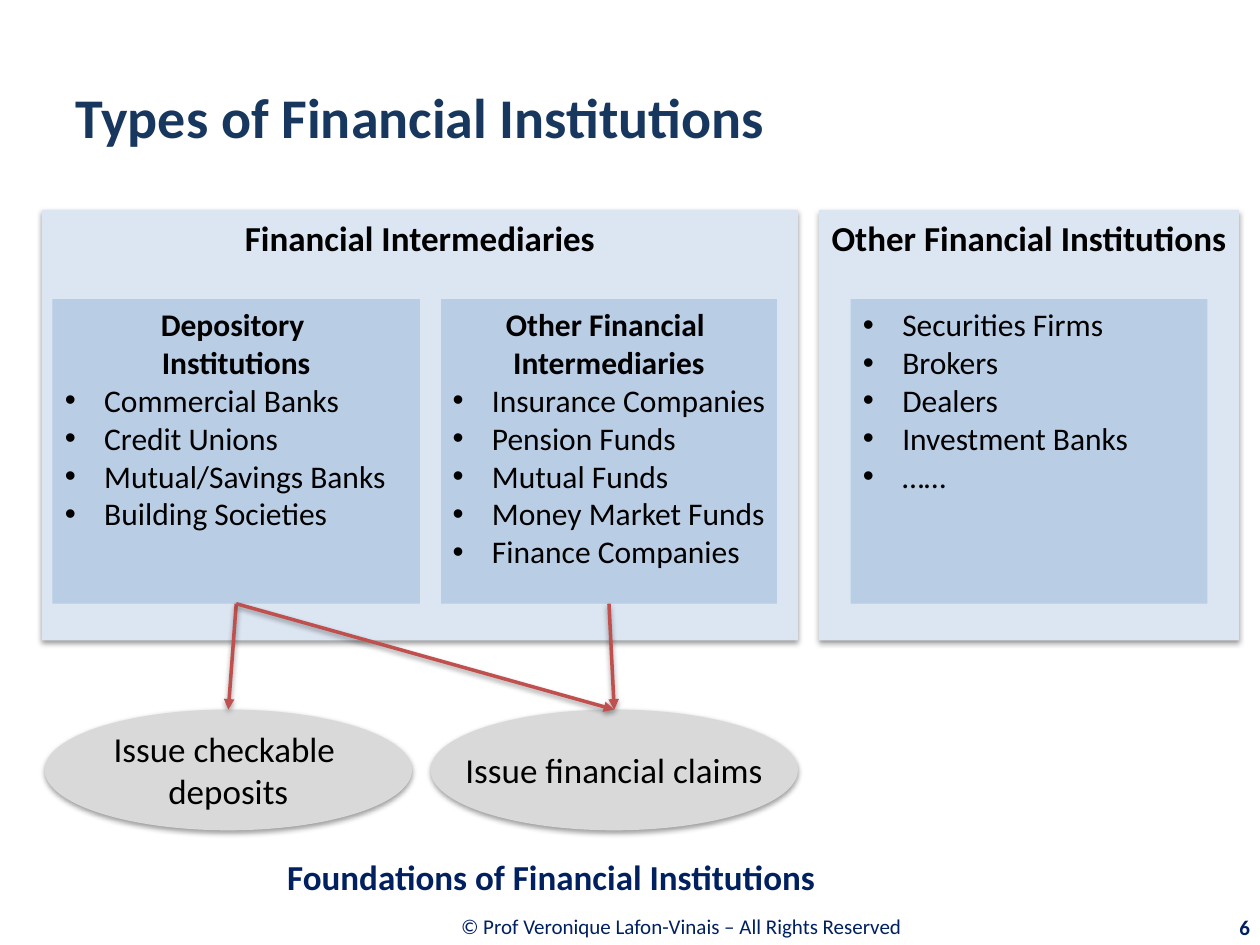
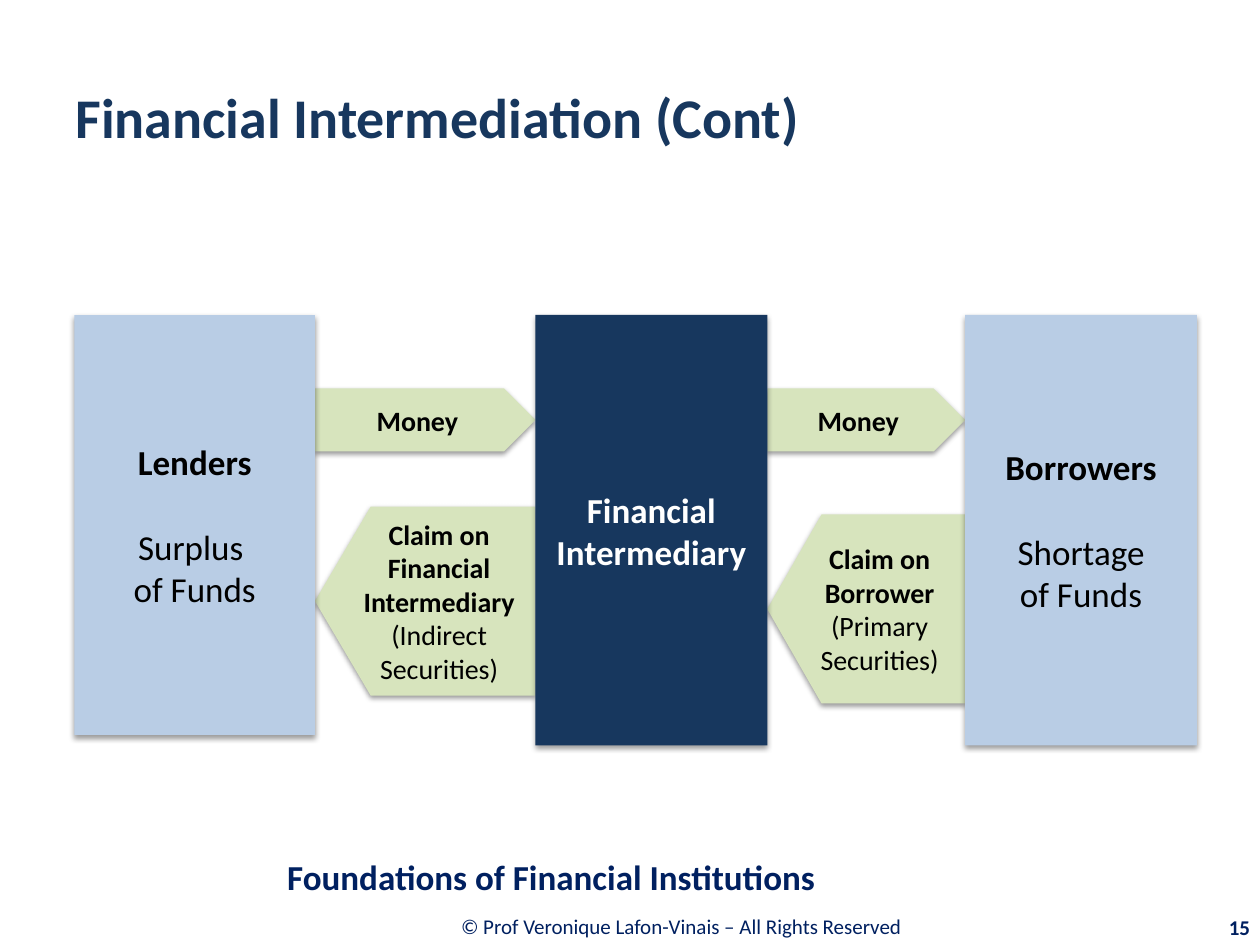
from dataclasses import dataclass

from lxml import etree
from pptx import Presentation
from pptx import util as u
from pptx.dml.color import RGBColor
from pptx.enum import shapes, text
from pptx.oxml import ns


@dataclass(frozen=True)
class Theme:
    font: str = "Calibri"
    navy: str = "17375E"
    footer: str = "002060"
    panel: str = "DCE6F2"
    box: str = "B9CDE5"
    oval: str = "D9D9D9"
    flow: str = "D7E4BD"
    arrow: str = "C0504D"
    black: str = "000000"
    white: str = "FFFFFF"
    title_size: int = 32
    large: int = 20
    medium: int = 18
    small: int = 16
    tiny: int = 12


@dataclass(frozen=True)
class Line:
    text: str
    bold: bool = False
    bullet: bool = False
    before: float = 0
    plain_tail: str = ""


THEME = Theme()
COURSE = "Foundations of Financial Institutions"
RIGHTS = "© Prof Veronique Lafon-Vinais – All Rights Reserved "

# heading, left, width
PANELS = [
    ("Financial Intermediaries", 24, 432),
    ("Other Financial Institutions", 468, 240),
]
# heading lines, members, left, width
GROUPS = [
    (["Depository ", "Institutions"],
     ["Commercial Banks", "Credit Unions", "Mutual/Savings Banks", "Building Societies"],
     30, 210),
    (["Other Financial ", "Intermediaries"],
     ["Insurance Companies", "Pension Funds", "Mutual Funds", "Money Market Funds",
      "Finance Companies"],
     252, 192),
    ([], ["Securities Firms", "Brokers", "Dealers", "Investment Banks", "……"], 486, 204),
]
ACTIVITIES = [["Issue checkable ", "deposits"], ["Issue financial claims"]]
GROUP_TO_ACTIVITY = [(0, 0), (1, 1), (0, 1)]

# lines, left, width, height, fill, text colour
PARTIES = [
    ([Line("Lenders", True), Line("Surplus ", before=24.4), Line("of Funds")],
     42.5, 137.5, 240, THEME.box, THEME.black),
    ([Line("Financial", True), Line("Intermediary", True)],
     306, 132.5, 246, THEME.navy, THEME.white),
    ([Line("Borrowers", True), Line("Shortage", before=24.4), Line("of Funds")],
     551.5, 132.5, 246, THEME.box, THEME.black),
]
# lines, top, point depth of the claim in each gap between parties
CLAIMS = [
    ([Line("Claim on Financial Intermediary ", True, plain_tail="(Indirect Securities)")],
     289.5, 0.295),
    ([Line("Claim on Borrower", True), Line("(Primary Securities)")], 294, 0.287),
]


def rgb(colour):
    return RGBColor.from_string(colour)


def add_effects(item, shadow=True):
    """Give the item a soft drop shadow, or an empty effect list."""
    effects = etree.SubElement(item._element.spPr, ns.qn("a:effectLst"))
    if shadow:
        outer = etree.SubElement(effects, ns.qn("a:outerShdw"), blurRad=str(u.Pt(3.1)),
                                 dist=str(u.Pt(1.6)), dir="5400000", rotWithShape="0")
        colour = etree.SubElement(outer, ns.qn("a:srgbClr"), val=THEME.black)
        etree.SubElement(colour, ns.qn("a:alpha"), val="38000")


def add_bullet(para):
    props = para._p.get_or_add_pPr()
    props.set("marL", str(u.Pt(22.5)))
    props.set("indent", str(u.Pt(-22.5)))
    etree.SubElement(props, ns.qn("a:buFont"), typeface="Arial")
    etree.SubElement(props, ns.qn("a:buChar"), char="•")


def write(box, lines, size, colour=THEME.black, align=text.PP_ALIGN.CENTER,
          anchor=text.MSO_ANCHOR.MIDDLE, wrap=True):
    frame = box.text_frame
    frame.word_wrap = wrap
    frame.vertical_anchor = anchor
    for index, line in enumerate(lines):
        para = frame.add_paragraph() if index else frame.paragraphs[0]
        para.alignment = text.PP_ALIGN.LEFT if line.bullet else align
        if line.bullet:
            add_bullet(para)
        if line.before:
            para.space_before = u.Pt(line.before)
        font = para.font
        font.name, font.size, font.bold = THEME.font, u.Pt(size), line.bold
        font.color.rgb = rgb(colour)
        para.add_run().text = line.text
        if line.plain_tail:
            span = para.add_run()
            span.text = line.plain_tail
            span.font.bold = False


def add_label(slide, place, line, size, colour, align=text.PP_ALIGN.LEFT):
    box = slide.shapes.add_textbox(*map(u.Pt, place))
    write(box, [line], size, colour, align)


def add_filled(slide, kind, place, fill, shadow=True):
    box = slide.shapes.add_shape(kind, *map(u.Pt, place))
    box.fill.solid()
    box.fill.fore_color.rgb = rgb(fill)
    box.line.fill.background()
    if shadow:
        add_effects(box)
    else:
        box.shadow.inherit = False
    return box


def add_arrow(slide, start, end):
    """Join the bottom of one shape to the top of another."""
    arrow = slide.shapes.add_connector(shapes.MSO_CONNECTOR.STRAIGHT, 0, 0, 0, 0)
    arrow.begin_connect(start, 2)
    arrow.end_connect(end, 0)
    arrow.line.color.rgb = rgb(THEME.arrow)
    arrow.line.width = u.Pt(2)
    etree.SubElement(arrow.line._get_or_add_ln(), ns.qn("a:tailEnd"), type="triangle")
    add_effects(arrow)


def add_page(deck, title, number):
    slide = deck.slides.add_slide(deck.slide_layouts[6])
    add_label(slide, (157.5, 515, 466.5, 28), Line(RIGHTS), THEME.tiny, THEME.footer,
              text.PP_ALIGN.CENTER)
    add_label(slide, (36, 21.6, 648, 90), Line(title, True), THEME.title_size, THEME.navy)
    add_label(slide, (648.7, 518.4, 72.7, 23), Line(str(number), True), THEME.tiny,
              THEME.footer, text.PP_ALIGN.RIGHT)
    add_label(slide, (157, 484, 563, 34), Line(COURSE, True), THEME.large, THEME.footer)
    return slide


def build_types(deck):
    slide = add_page(deck, "Types of Financial Institutions", 6)
    rectangle = shapes.MSO_SHAPE.RECTANGLE
    for heading, left, width in PANELS:
        panel = add_filled(slide, rectangle, (left, 120, width, 246), THEME.panel)
        write(panel, [Line(heading, True)], THEME.large,
              anchor=text.MSO_ANCHOR.TOP, wrap=False)

    groups = []
    for headings, members, left, width in GROUPS:
        group = add_filled(slide, rectangle, (left, 171, width, 174), THEME.box, shadow=False)
        lines = [Line(heading, True) for heading in headings]
        lines += [Line(member, bullet=True) for member in members]
        write(group, lines, THEME.medium, anchor=text.MSO_ANCHOR.TOP, wrap=False)
        groups.append(group)

    ovals = []
    for index, words in enumerate(ACTIVITIES):
        place = (25.5 + index * 220.5, 405.5, 210, 69)
        oval = add_filled(slide, shapes.MSO_SHAPE.OVAL, place, THEME.oval)
        write(oval, [Line(word) for word in words], THEME.large, wrap=False)
        ovals.append(oval)

    for group, activity in GROUP_TO_ACTIVITY:
        add_arrow(slide, groups[group], ovals[activity])


def build_intermediation(deck):
    slide = add_page(deck, "Financial Intermediation (Cont)", 15)
    pentagon = shapes.MSO_SHAPE.PENTAGON
    for giver, taker, (lines, top, depth) in zip(PARTIES, PARTIES[1:], CLAIMS):
        left = giver[1] + giver[2]
        gap = taker[1] - left
        money = add_filled(slide, pentagon, (left, 222, gap, 36), THEME.flow)
        write(money, [Line("Money", True)], THEME.small)
        claim = add_filled(slide, pentagon, (left, top, gap, 108), THEME.flow)
        claim.adjustments[0] = depth
        claim._element.spPr.xfrm.set("flipH", "1")
        write(claim, lines, THEME.small)

    for lines, left, width, height, fill, colour in PARTIES:
        party = add_filled(slide, shapes.MSO_SHAPE.RECTANGLE, (left, 180, width, height), fill)
        write(party, lines, THEME.large, colour, wrap=False)


def main():
    deck = Presentation()
    deck.slide_width, deck.slide_height = u.Pt(720), u.Pt(540)
    build_types(deck)
    build_intermediation(deck)
    deck.save("out.pptx")


if __name__ == "__main__":
    main()
